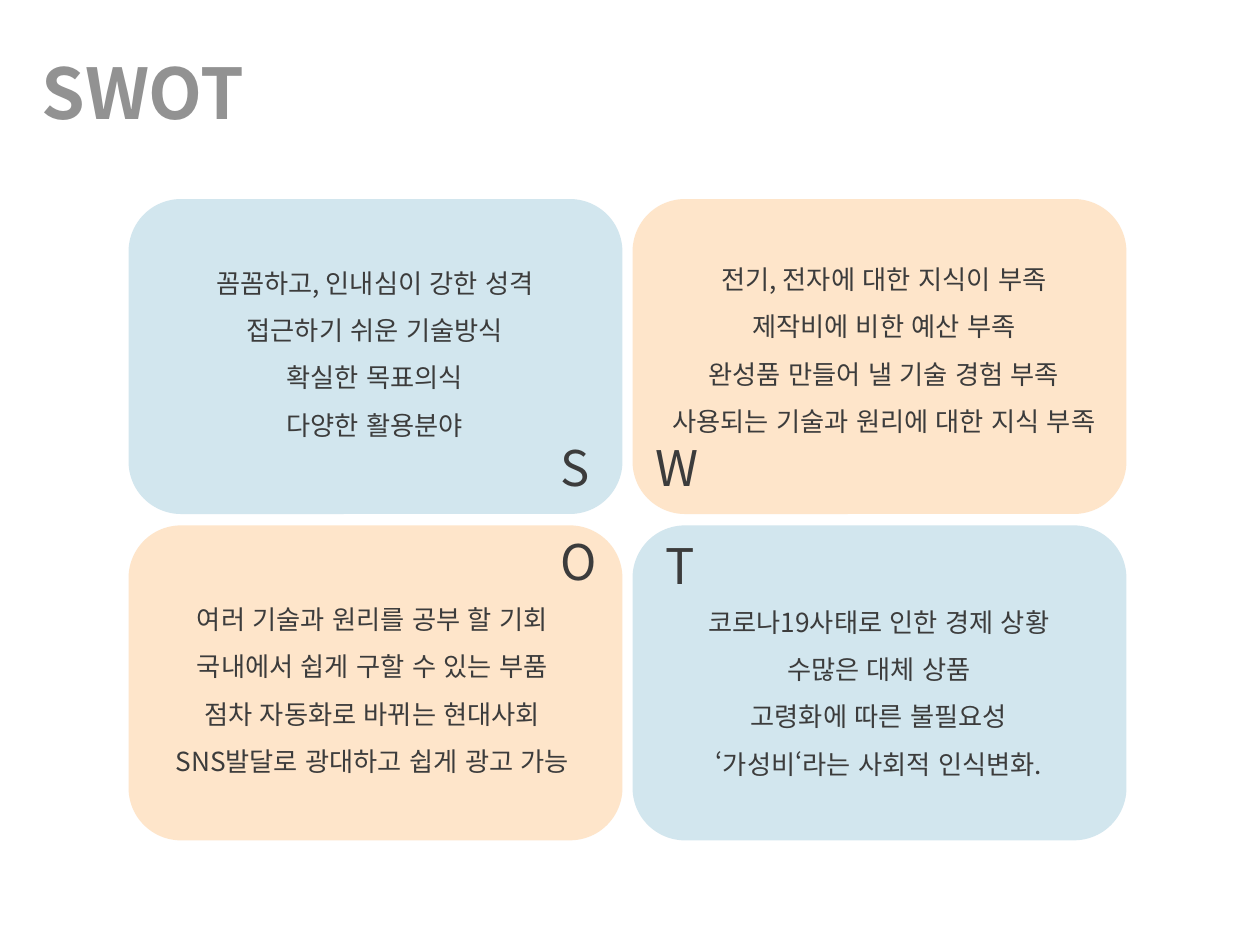
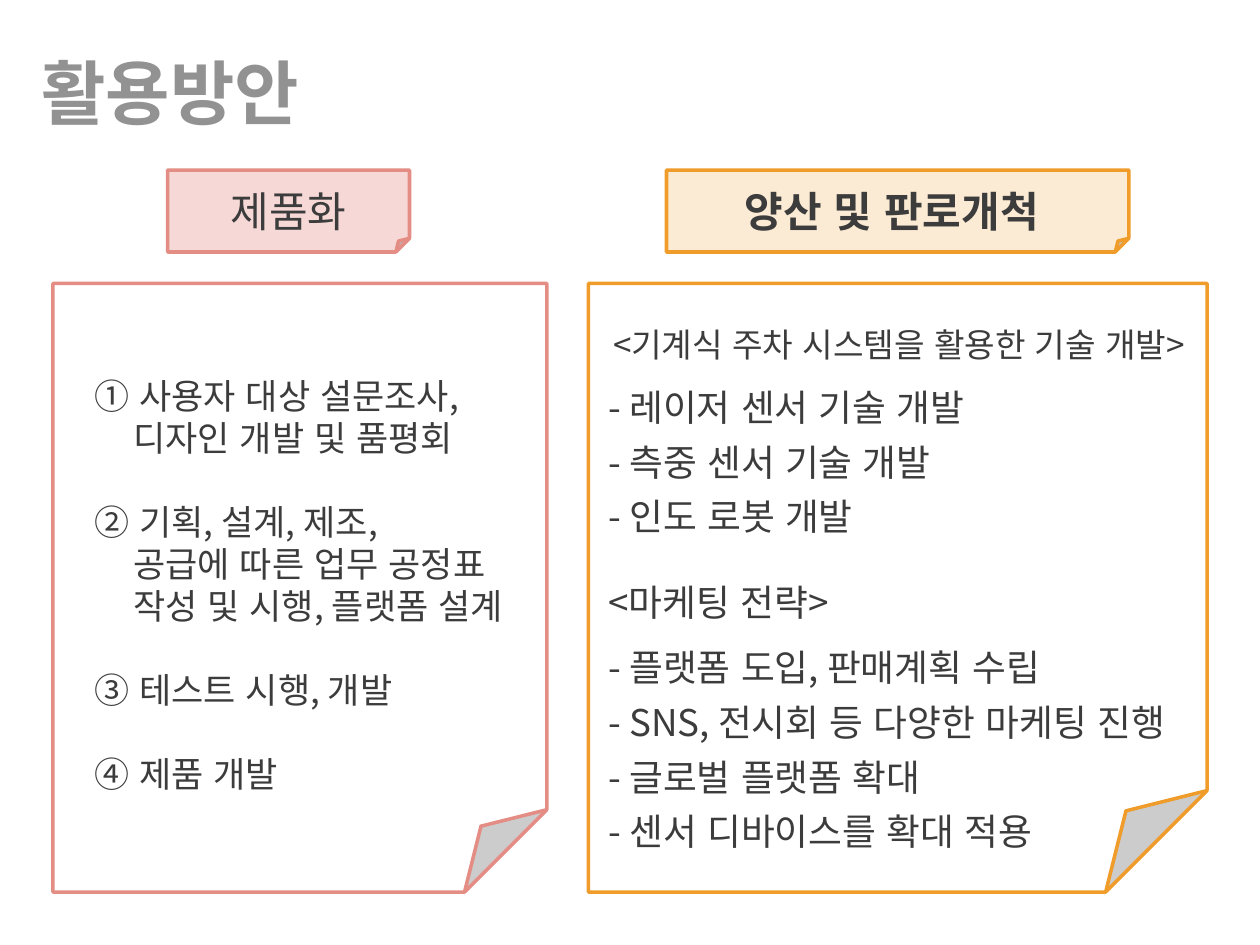
from lxml.etree import SubElement
from pptx import Presentation
from pptx.dml.color import RGBColor
from pptx.enum.lang import MSO_LANGUAGE_ID
from pptx.enum.shapes import MSO_SHAPE
from pptx.enum.text import MSO_ANCHOR, PP_ALIGN
from pptx.oxml.ns import qn
from pptx.util import Inches, Pt

FONT = "Noto Sans CJK KR"
GRAY, INK, WHITE = "929292", "3C3C3C", "FFFFFF"
BLUE, PEACH = "D2E6EE", "FEE5CA"
PINK, PINK_LINE = "F6D9D6", "E48D84"
CREAM, ORANGE_LINE = "FCEBD4", "F09C2A"
LINE_HEIGHT = 1.2  # line pitch as a multiple of the font size

CARD_W, CARD_H = 3.92, 2.5
CARD_LEFT, CARD_TOP = 1.02, 1.58
CARD_STEP_X, CARD_STEP_Y = 4, 2.59
NOTE_TOP, NOTE_H = 2.25, 4.83
LABEL_TOP, LABEL_H = 1.35, 0.65

# letter, letter position, text position, text lines
QUADRANTS = [
    ("S", (4.45, 3.42), (1.1, 2.01),
     ["꼼꼼하고, 인내심이 강한 성격", "접근하기 쉬운 기술방식",
      "확실한 목표의식", "다양한 활용분야"]),
    ("W", (5.2, 3.42), (5.14, 1.98),
     ["전기, 전자에 대한 지식이 부족", "제작비에 비한 예산 부족",
      "완성품 만들어 낼 기술 경험 부족",
      "사용되는 기술과 원리에 대한 지식 부족"]),
    ("O", (4.45, 4.17), (1.08, 4.68),
     ["여러 기술과 원리를 공부 할 기회", "국내에서 쉽게 구할 수 있는 부품",
      "점차 자동화로 바뀌는 현대사회",
      "SNS발달로 광대하고 쉽게 광고 가능"]),
    ("T", (5.28, 4.2), (5.1, 4.7),
     ["코로나19사태로 인한 경제 상황", "수많은 대체 상품",
      "고령화에 따른 불필요성", "‘가성비‘라는 사회적 인식변화."]),
]

# "\v" breaks the line inside a paragraph
STEPS = [
    "➀ 사용자 대상 설문조사,\v디자인 개발 및 품평회",
    "➁ 기획, 설계, 제조,\v공급에 따른 업무 공정표\v작성 및 시행, 플랫폼 설계",
    "➂ 테스트 시행, 개발",
    "➃ 제품 개발",
]

TECH_HEADING = "<기계식 주차 시스템을 활용한 기술 개발>"
TECH_PLANS = ["레이저 센서 기술 개발", "측중 센서 기술 개발", "인도 로봇 개발"]
MARKETING_HEADING = "<마케팅 전략>"
MARKETING_PLANS = ["플랫폼 도입, 판매계획 수립", "SNS, 전시회 등 다양한 마케팅 진행",
                   "글로벌 플랫폼 확대", "센서 디바이스를 확대 적용"]


def rgb(color):
    return RGBColor.from_string(color)


class Deck:
    """Holds the shared style and the current slide."""

    def __init__(self):
        self.prs = Presentation()
        self.prs.slide_width, self.prs.slide_height = Inches(10), Inches(7.5)
        self.s = None

    def slide(self, title):
        self.s = self.prs.slides.add_slide(self.prs.slide_layouts[5])
        sp = self.s.shapes.title
        sp.left, sp.top = Inches(0.33), Inches(0.53)
        sp.width, sp.height = Inches(6.17), Inches(0.39)
        tf = self.frame(sp, MSO_ANCHOR.MIDDLE, (0, 0, 0, 0))
        self.para(tf, title, 40, color=GRAY, bold=True)

    def frame(self, sp, anchor, insets):
        """Set up the text frame; insets are left, top, right, bottom."""
        tf = sp.text_frame
        tf.word_wrap = True
        tf.vertical_anchor = anchor
        (tf.margin_left, tf.margin_top,
         tf.margin_right, tf.margin_bottom) = map(Inches, insets)
        return tf

    def para(self, tf, text, size, color=INK, bold=False, align=PP_ALIGN.LEFT,
             spacing=1, before=0, left=0, hang=0):
        """Fill the first paragraph if it is empty, else add one."""
        p = tf.paragraphs[0]
        if p.text:
            p = tf.add_paragraph()
        p.text = text
        p.alignment = align
        p.line_spacing = Pt(round(size * LINE_HEIGHT * spacing, 1))
        p.space_before = Pt(before)
        pPr = p._p.get_or_add_pPr()
        pPr.set("marL", str(Inches(left)))
        pPr.set("indent", str(-Inches(hang)))
        font = p.font
        font.name, font.size, font.bold = FONT, Pt(size), bold
        font.color.rgb = rgb(color)
        font.language_id = MSO_LANGUAGE_ID.KOREAN
        SubElement(font._element, qn("a:ea"), typeface=FONT)

    def shape(self, kind, box, fill, line=None):
        sp = self.s.shapes.add_shape(kind, *map(Inches, box))
        sp.shadow.inherit = False
        sp.fill.solid()
        sp.fill.fore_color.rgb = rgb(fill)
        if line:
            sp.line.color.rgb = rgb(line)
            sp.line.width = Pt(2)
        else:
            sp.line.fill.background()
        return sp

    def text(self, box, lines, size, **style):
        sp = self.s.shapes.add_textbox(*map(Inches, box))
        tf = self.frame(sp, MSO_ANCHOR.MIDDLE, (0, 0.05, 0, 0.05))
        for line in lines:
            self.para(tf, line, size, **style)

    def label(self, left, width, text, fill, line, bold=False):
        """Add a small tag with a folded corner above a note."""
        sp = self.shape(MSO_SHAPE.FOLDED_CORNER,
                        (left, LABEL_TOP, width, LABEL_H), fill, line)
        tf = self.frame(sp, MSO_ANCHOR.MIDDLE, (0.1, 0.11, 0.1, 0))
        self.para(tf, text, 24, bold=bold, align=PP_ALIGN.CENTER)

    def note(self, left, width, line, text_top):
        """Add a sheet with a folded corner and return its text frame."""
        sp = self.shape(MSO_SHAPE.FOLDED_CORNER,
                        (left, NOTE_TOP, width, NOTE_H), WHITE, line)
        return self.frame(sp, MSO_ANCHOR.TOP, (0.1, text_top, 0.08, 0.05))

    def plans(self, tf, plans):
        """Add dashed lines, with a wider gap above the first."""
        for i, plan in enumerate(plans):
            self.para(tf, f"- {plan}", 21, before=6 if i else 12, left=0.06)


def swot_slide(deck):
    deck.slide("SWOT")
    for i, (letter, letter_at, text_at, lines) in enumerate(QUADRANTS):
        row, col = divmod(i, 2)
        card = (CARD_LEFT + col * CARD_STEP_X, CARD_TOP + row * CARD_STEP_Y,
                CARD_W, CARD_H)
        deck.shape(MSO_SHAPE.ROUNDED_RECTANGLE, card,
                   BLUE if row == col else PEACH)
        deck.text((*letter_at, 0.5, 0.57), [letter], 28)
        deck.text((*text_at, 3.75, 1.47), lines, 15,
                  align=PP_ALIGN.CENTER, spacing=1.5)


def usage_slide(deck):
    deck.slide("활용방안")

    deck.label(1.33, 1.92, "제품화", PINK, PINK_LINE)
    tf = deck.note(0.42, 3.92, PINK_LINE, text_top=0.72)
    for i, step in enumerate(STEPS):
        deck.para(tf, step, 20, before=24 if i else 0, left=0.54, hang=0.31)

    deck.label(5.29, 3.67, "양산 및 판로개척 ", CREAM, ORANGE_LINE, bold=True)
    tf = deck.note(4.67, 4.91, ORANGE_LINE, text_top=0.32)
    deck.para(tf, TECH_HEADING, 19, align=PP_ALIGN.CENTER)
    deck.plans(tf, TECH_PLANS)
    deck.para(tf, MARKETING_HEADING, 21, before=24, left=0.06)
    deck.plans(tf, MARKETING_PLANS)


def main():
    deck = Deck()
    swot_slide(deck)
    usage_slide(deck)
    deck.prs.save("out.pptx")


if __name__ == "__main__":
    main()
